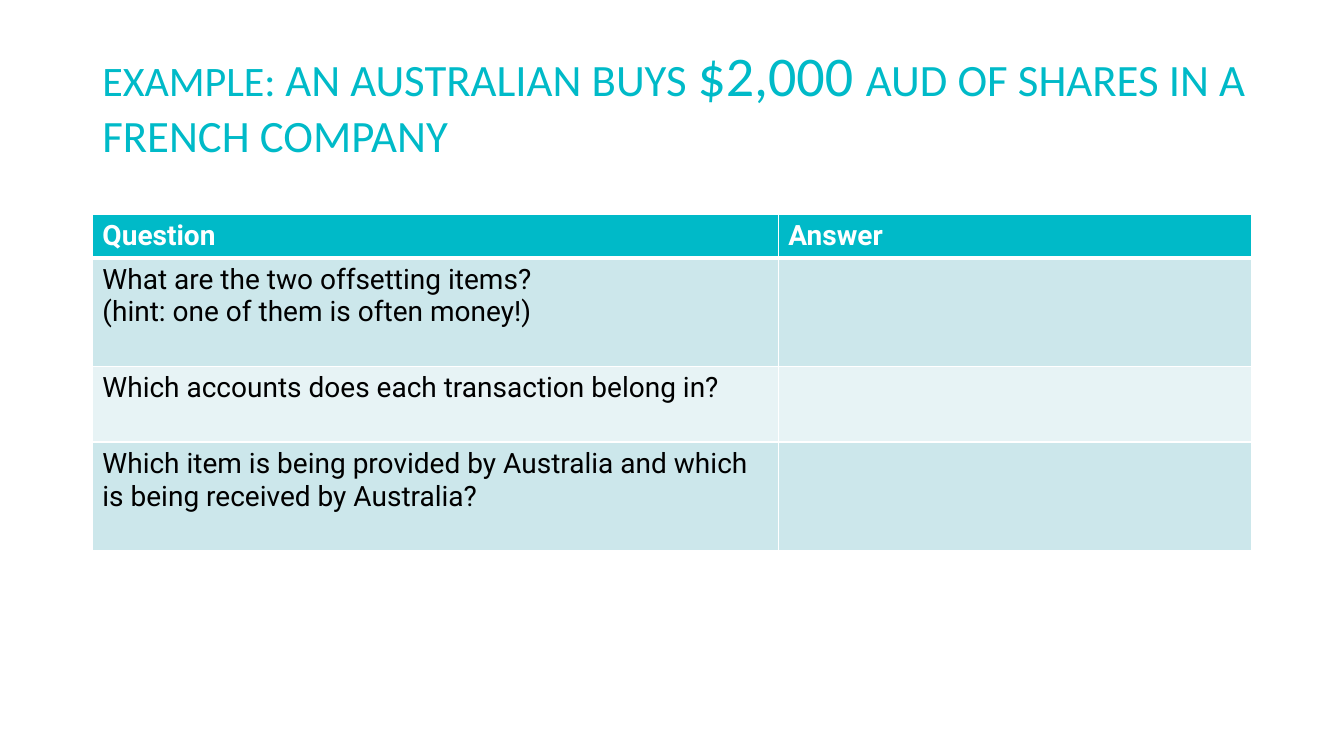
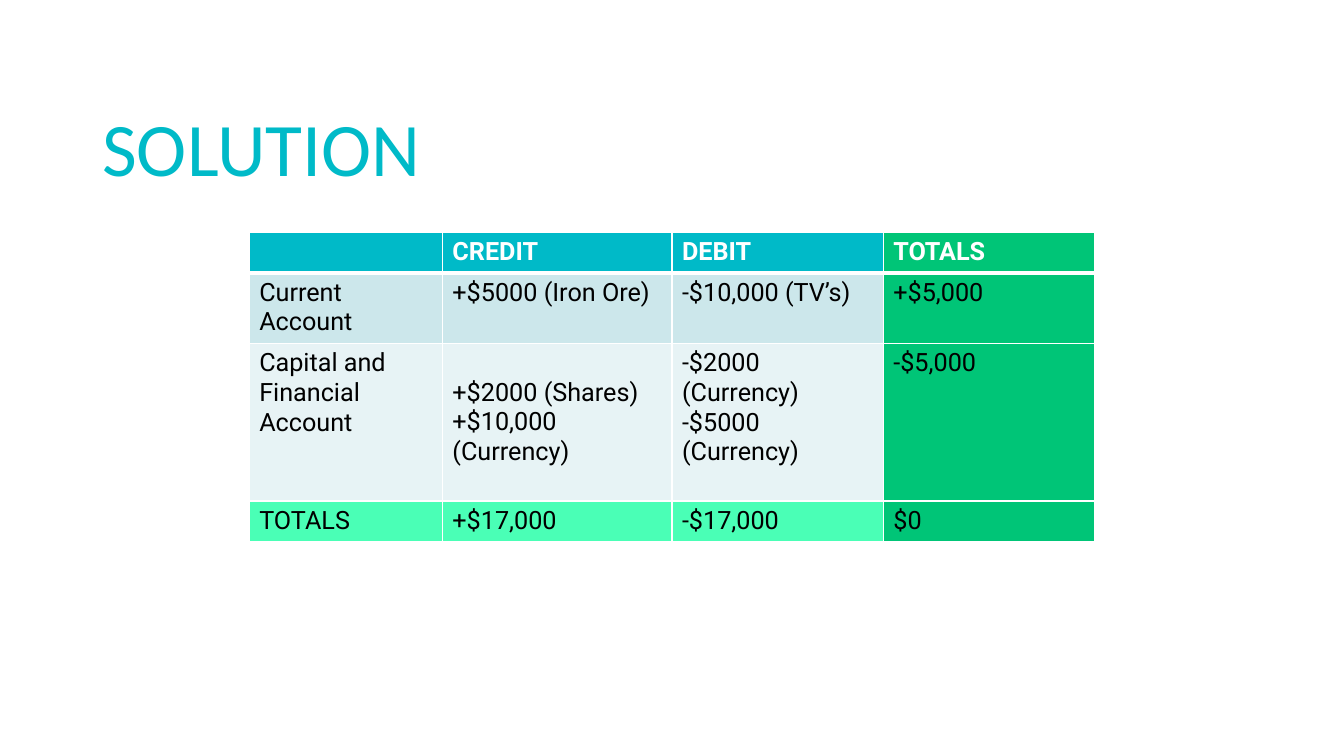
from lxml.etree import SubElement
from pptx import Presentation
from pptx.dml.color import RGBColor
from pptx.enum.text import MSO_ANCHOR
from pptx.oxml.ns import qn
from pptx.util import Pt

TEAL = RGBColor(0x00, 0xBA, 0xC8)
PALE_TEAL = RGBColor(0xCC, 0xE7, 0xEB)
PALEST_TEAL = RGBColor(0xE7, 0xF3, 0xF5)
GREEN = RGBColor(0x00, 0xC5, 0x77)
MINT = RGBColor(0x4A, 0xFF, 0xB6)
WHITE = RGBColor(0xFF, 0xFF, 0xFF)
BLACK = RGBColor(0x00, 0x00, 0x00)

TITLE_FONT, TABLE_FONT = "Calibri", "Roboto"
TITLE_LEFT, TITLE_HEIGHT = 66, 104

QUESTIONS = [
    ["Question", "Answer"],
    ["What are the two offsetting items?\n(hint: one of them is often money!)", ""],
    ["Which accounts does each transaction belong in?", ""],
    ["Which item is being provided by Australia and which is being received by Australia?", ""],
]
BALANCES = [
    ["", "CREDIT", "DEBIT", "TOTALS"],
    ["Current Account", "+$5000 (Iron Ore)", "-$10,000 (TV’s)", "+$5,000"],
    ["Capital and Financial Account", "+$2000 (Shares)\n+$10,000 (Currency)",
     "-$2000 (Currency)\n-$5000 (Currency)", "-$5,000"],
    ["TOTALS", "+$17,000", "-$17,000", "$0"],
]


def add_title(s, top, width, runs):
    """Add a bottom-anchored title from (text, size) pairs."""
    tf = s.shapes.add_textbox(Pt(TITLE_LEFT), Pt(top), Pt(width), Pt(TITLE_HEIGHT)).text_frame
    tf.word_wrap = True
    tf.vertical_anchor = MSO_ANCHOR.BOTTOM
    tf.margin_bottom = 0
    p = tf.paragraphs[0]
    p.font.name = TITLE_FONT
    p.font.color.rgb = TEAL
    for text, size in runs:
        r = p.add_run()
        r.text = text
        r.font.size = Pt(size)


def set_borders(cell, row):
    """Draw white cell borders, thicker below the header row."""
    widths = {"L": 1, "R": 1, "T": 3 if row == 1 else 1, "B": 3 if row == 0 else 1}
    tc_pr = cell._tc.get_or_add_tcPr()
    for side, width in widths.items():
        ln = SubElement(tc_pr, qn(f"a:ln{side}"), w=str(Pt(width)))
        fill = SubElement(ln, qn("a:solidFill"))
        SubElement(fill, qn("a:srgbClr"), val=str(WHITE))


def style_cell(cell, text, row, size, fill):
    set_borders(cell, row)
    cell.fill.solid()
    cell.fill.fore_color.rgb = fill
    cell.text = text
    for p in cell.text_frame.paragraphs:
        p.font.name = TABLE_FONT
        p.font.size = Pt(size)
        p.font.bold = row == 0
        p.font.color.rgb = WHITE if row == 0 else BLACK


def band_fill(row):
    if row == 0:
        return TEAL
    return PALE_TEAL if row % 2 else PALEST_TEAL


def add_table(s, left, top, col_widths, row_heights, rows, size, totals=False):
    """Add a banded table; totals marks the last row and column in green."""
    table = s.shapes.add_table(len(rows), len(col_widths), Pt(left), Pt(top),
                               Pt(sum(col_widths)), Pt(sum(row_heights))).table
    table.horz_banding = False
    for col, width in zip(table.columns, col_widths):
        col.width = Pt(width)
    for i, (texts, height) in enumerate(zip(rows, row_heights)):
        table.rows[i].height = Pt(height)
        for j, text in enumerate(texts):
            fill = band_fill(i)
            if totals and j == len(texts) - 1:
                fill = GREEN
            elif totals and i == len(rows) - 1:
                fill = MINT
            style_cell(table.cell(i, j), text, i, size, fill)
    return table


def main():
    prs = Presentation()
    prs.slide_width, prs.slide_height = Pt(960), Pt(540)
    blank = prs.slide_layouts[6]

    s = prs.slides.add_slide(blank)
    add_title(s, 11, 875, [("EXAMPLE: ", 30), ("AN AUSTRALIAN BUYS ", 32), ("$2,000 ", 40),
                           ("AUD OF SHARES IN A FRENCH COMPANY", 32)])
    add_table(s, 66, 153, [490, 338], [31, 77.5, 54, 77.5], QUESTIONS, 20)

    s = prs.slides.add_slide(blank)
    add_title(s, 33, 828, [("SOLUTION", 54)])
    balances = add_table(s, 178, 166, [138, 164, 151, 151], [29, 49.5, 112.5, 29],
                         BALANCES, 18, totals=True)
    balances.cell(2, 1).vertical_anchor = MSO_ANCHOR.MIDDLE

    prs.save("out.pptx")


if __name__ == "__main__":
    main()
